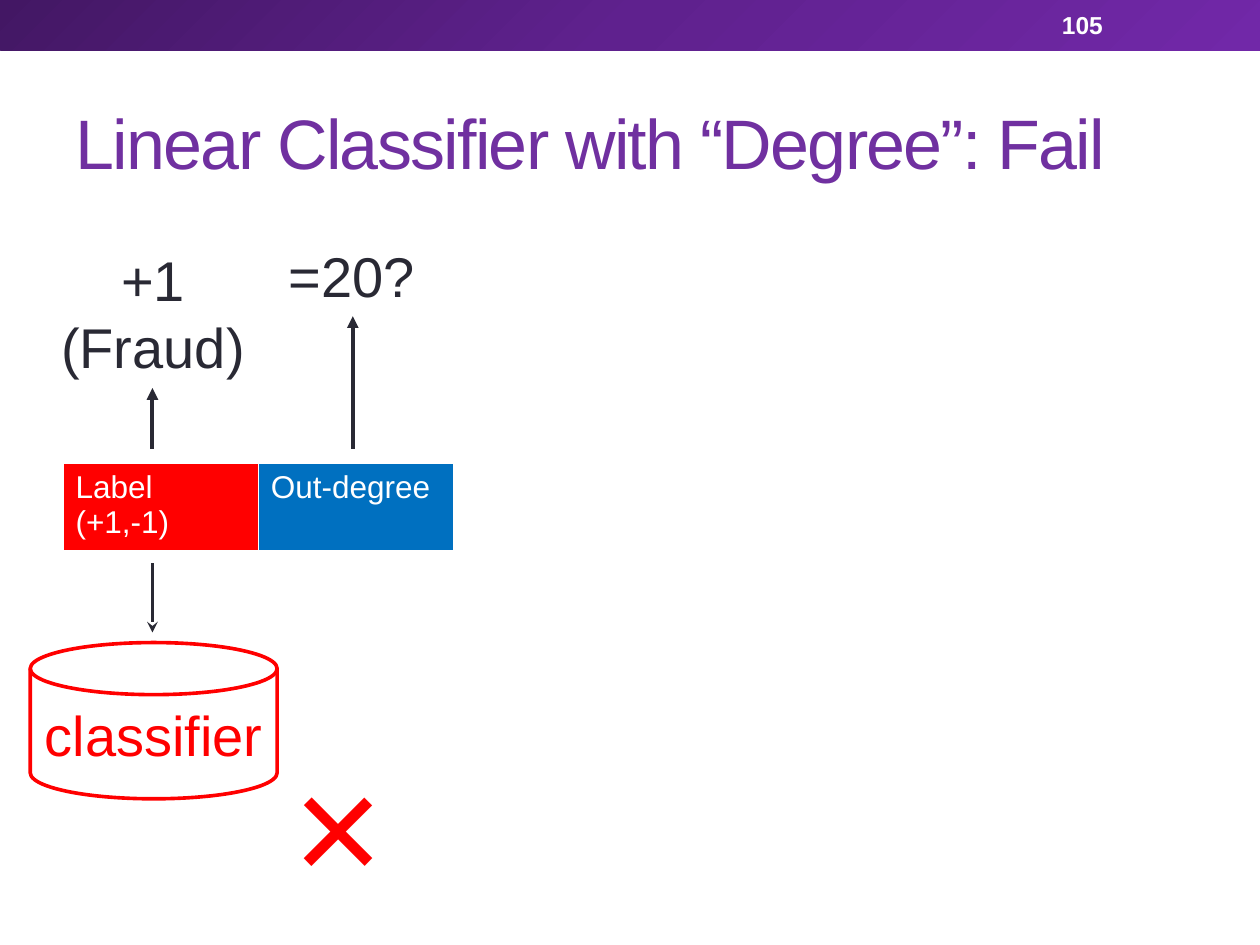
from copy import deepcopy

from lxml.etree import SubElement
from pptx import Presentation
from pptx.dml.color import RGBColor
from pptx.enum.shapes import MSO_CONNECTOR, MSO_SHAPE
from pptx.enum.text import MSO_ANCHOR, MSO_AUTO_SIZE, PP_ALIGN
from pptx.oxml.ns import qn
from pptx.util import Inches, Pt

PURPLE = RGBColor(0x70, 0x30, 0xA0)
RED = RGBColor(0xFF, 0x00, 0x00)
BLUE = RGBColor(0x00, 0x70, 0xC0)
INK = RGBColor(0x29, 0x29, 0x34)
WHITE = RGBColor(0xFF, 0xFF, 0xFF)
BAR_STOPS = [
    (0, RGBColor(0x43, 0x17, 0x64)),
    (0.5, RGBColor(0x5F, 0x21, 0x8E)),
    (1, RGBColor(0x71, 0x28, 0xA8)),
]

# Content: places are left, top, width, height in inches
TITLE = "Linear Classifier with “Degree”: Fail"
PAGE_NUMBER = "105"
FEATURES = [(["Label", "(+1,-1)"], RED), (["Out-degree"], BLUE)]
NOTES = [
    (["=20?"], (2.19, 1.87, 1.21, 0.64), 32, INK, PP_ALIGN.LEFT),
    (["+1", "(Fraud)"], (0.38, 1.9, 1.67, 1.18), 32, INK, PP_ALIGN.CENTER),
    (["×"], (1.97, 5.74, 1.44, 1.58), 88, RED, PP_ALIGN.CENTER),
]
# Arrows: x, start y, end y, width, head
ARROWS = [
    (1.21, 4.47, 5.02, 2.08, "stealth"),
    (2.8, 3.56, 2.51, 2.25, "triangle"),
    (1.21, 3.56, 3.08, 2.25, "triangle"),
]
COLUMN_WIDTH, ROW_HEIGHT = 1.55, 0.7


def box(place):
    return [Inches(length) for length in place]


def write(frame, lines, size, color, align=PP_ALIGN.LEFT, bold=False):
    for index, line in enumerate(lines):
        paragraph = frame.paragraphs[0] if index == 0 else frame.add_paragraph()
        paragraph.alignment = align
        run = paragraph.add_run()
        run.text = line
        run.font.name = "Arial"
        run.font.size = Pt(size)
        run.font.bold = bold
        run.font.color.rgb = color


def add_border(cell, side, width):
    line = SubElement(cell._tc.get_or_add_tcPr(), qn(f"a:{side}"), w=str(Pt(width)))
    fill = SubElement(line, qn("a:solidFill"))
    SubElement(fill, qn("a:srgbClr"), val=str(WHITE))


prs = Presentation()
prs.slide_width, prs.slide_height = Inches(10), Inches(7.5)
slide = prs.slides.add_slide(prs.slide_layouts[5])
shapes = slide.shapes

# Top bar with page number
bar = shapes.add_shape(MSO_SHAPE.RECTANGLE, *box((0, 0, 10, 0.4)))
bar.shadow.inherit = False
bar.line.fill.background()
bar.fill.gradient()
bar.fill.gradient_angle = 315
stop_list = bar._element.spPr.find(".//" + qn("a:gsLst"))
stop_list.append(deepcopy(stop_list[-1]))
for stop, (position, color) in zip(bar.fill.gradient_stops, BAR_STOPS):
    stop.position = position
    stop.color.rgb = color

page_number = shapes.add_textbox(*box((8.33, 0.02, 1.17, 0.36))).text_frame
page_number.word_wrap = True
page_number.vertical_anchor = MSO_ANCHOR.MIDDLE
write(page_number, [PAGE_NUMBER], 14, WHITE, bold=True)

# Title
title = shapes.title
title.left, title.top, title.width, title.height = box((0.5, 0.58, 9, 1.08))
title.text_frame.auto_size = MSO_AUTO_SIZE.NONE
title.text_frame.vertical_anchor = MSO_ANCHOR.MIDDLE
write(title.text_frame, [TITLE], 40, PURPLE)
title.text_frame.paragraphs[0].runs[0].font._element.set("spc", "-100")

# Feature table
table_place = (0.5, 3.68, COLUMN_WIDTH * len(FEATURES), ROW_HEIGHT)
table = shapes.add_table(1, len(FEATURES), *box(table_place)).table
for column, (lines, color) in enumerate(FEATURES):
    table.columns[column].width = Inches(COLUMN_WIDTH)
    cell = table.cell(0, column)
    write(cell.text_frame, lines, 18, WHITE)
    for side, width in (("lnL", 1), ("lnR", 1), ("lnT", 1), ("lnB", 3)):
        add_border(cell, side, width)
    cell.fill.solid()
    cell.fill.fore_color.rgb = color

# Classifier drum
classifier = shapes.add_shape(
    MSO_SHAPE.FLOWCHART_MAGNETIC_DISK, *box((0.24, 5.1, 1.96, 1.24)))
classifier.shadow.inherit = False
classifier.fill.background()
classifier.line.color.rgb = RED
classifier.line.width = Pt(2.08)
classifier.text_frame.word_wrap = False
classifier.text_frame.vertical_anchor = MSO_ANCHOR.MIDDLE
write(classifier.text_frame, ["classifier"], 32, RED, PP_ALIGN.CENTER)

# Values and verdict
for lines, place, size, color, align in NOTES:
    note = shapes.add_textbox(*box(place)).text_frame
    note.word_wrap = False
    note.auto_size = MSO_AUTO_SIZE.SHAPE_TO_FIT_TEXT
    write(note, lines, size, color, align)

# Arrows
for x, start, end, width, head in ARROWS:
    arrow = shapes.add_connector(MSO_CONNECTOR.STRAIGHT, *box((x, start, x, end)))
    arrow.line.color.rgb = INK
    arrow.line.width = Pt(width)
    SubElement(arrow.line._get_or_add_ln(), qn("a:tailEnd"), type=head)
    SubElement(arrow._element.spPr, qn("a:effectLst"))

prs.save("out.pptx")
